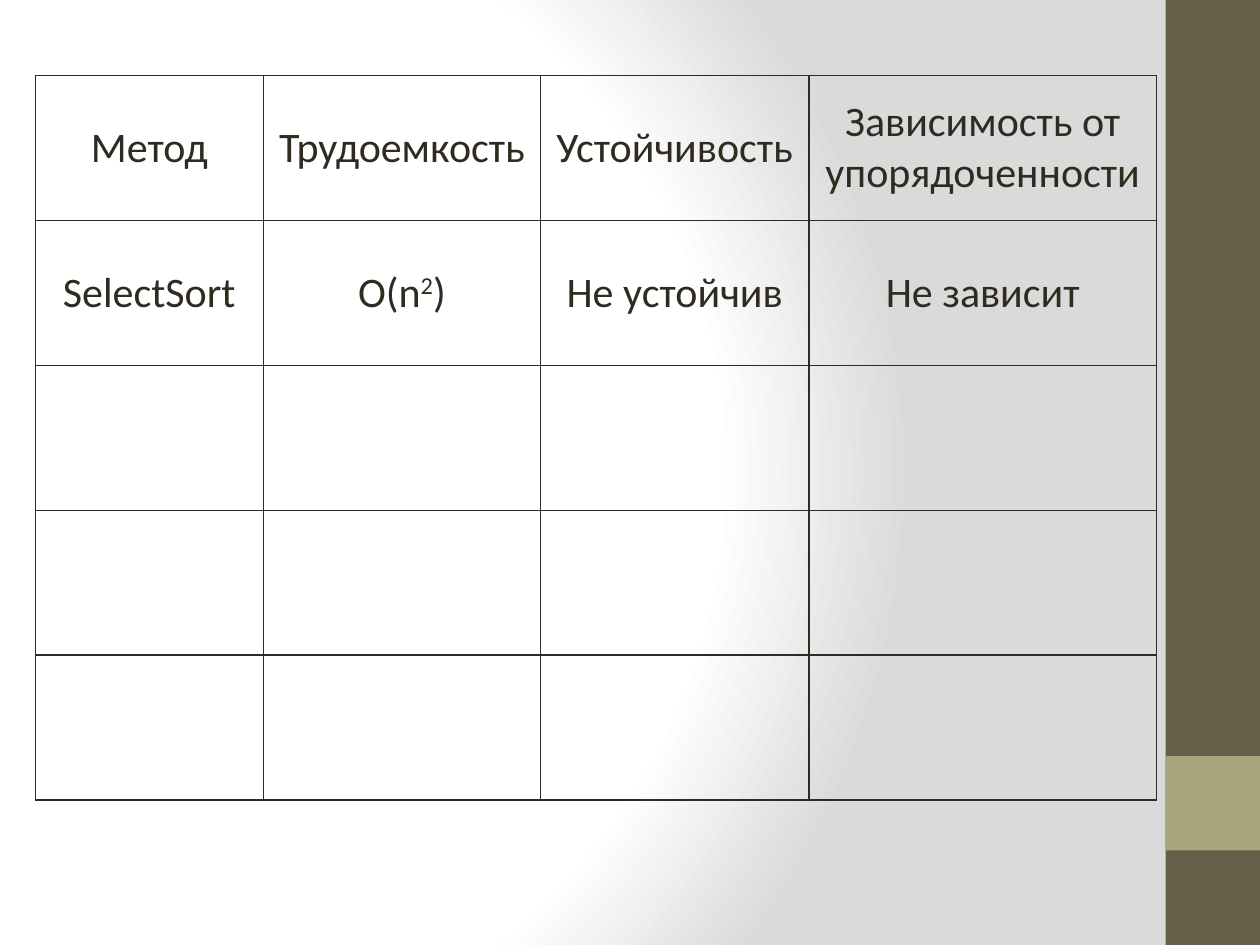
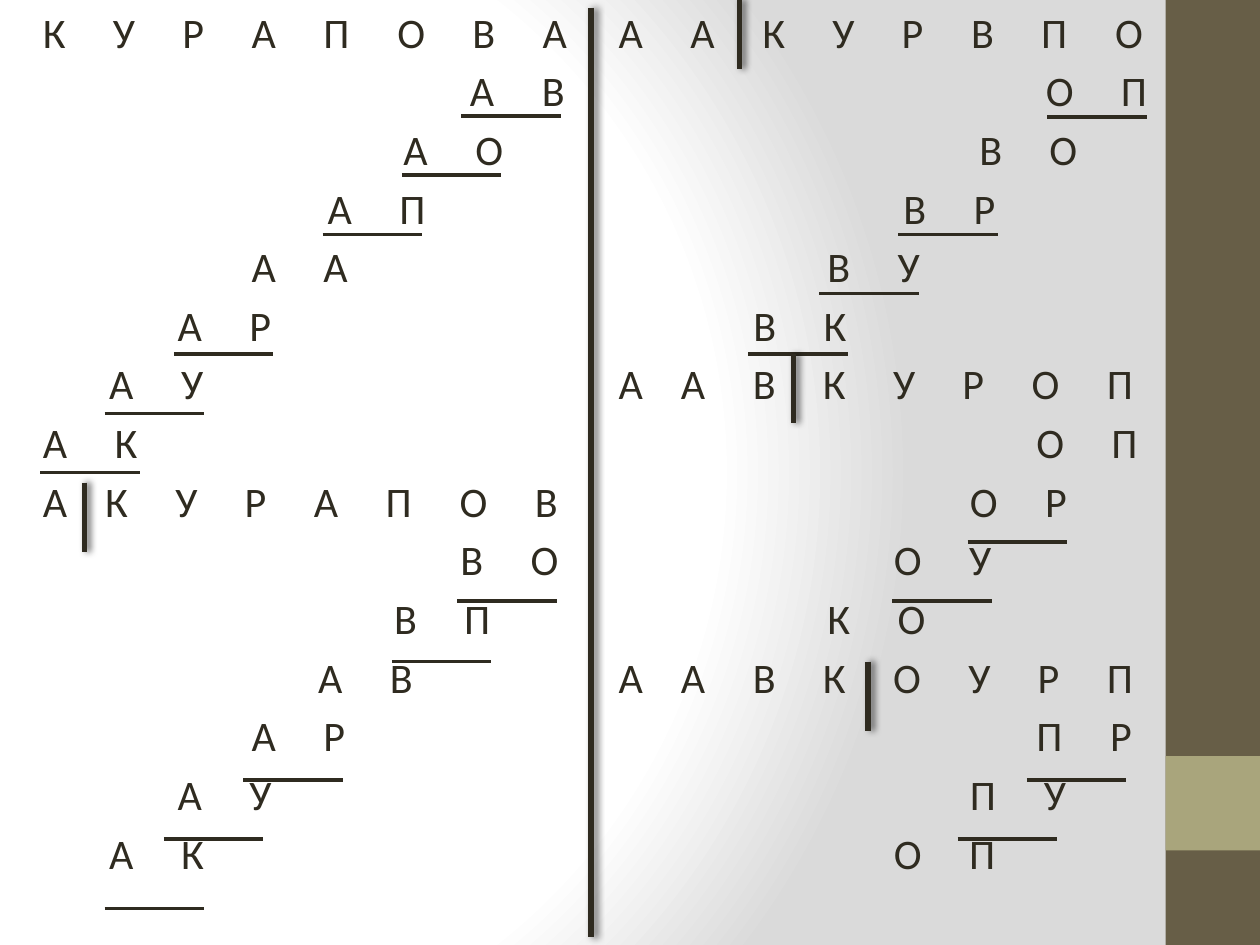
from lxml import etree
from pptx import Presentation
from pptx.dml.color import RGBColor
from pptx.enum.shapes import MSO_CONNECTOR as CONNECTOR, MSO_SHAPE as SHAPE
from pptx.enum.text import MSO_ANCHOR as ANCHOR, PP_ALIGN as ALIGN
from pptx.oxml import parse_xml
from pptx.oxml.ns import nsdecls, qn
from pptx.util import Inches, Pt

# ---- Shared look ----
INK = RGBColor(0x2F, 0x2B, 0x20)
BAND = RGBColor(0x67, 0x5E, 0x47)
BAND_MARK = RGBColor(0xA9, 0xA5, 0x7C)
FONT, SIZE = "Calibri", 24
WIDTH, HEIGHT = 10, 7.5
BAND_W = 0.75

# ---- Slide 1: sorting methods (^ marks off a superscript) ----
METHODS = [
    ("Метод", "Трудоемкость", "Устойчивость", "Зависимость от упорядоченности"),
    ("SelectSort", "O(n^2^)", "Не устойчив", "Не зависит"),
]
METHOD_COLS = (1.81, 2.2, 2.13, 2.76)
METHOD_ROWS, METHOD_ROW_H = 5, 1.15

# ---- Slide 2: exchange steps ----
# Each step: indent in spaces, letters, start of its underline (x, y) or None.
# "+" after a letter makes the gap behind it one space narrower.
LEFT_STEPS = [
    (0, "КУРАПОВА", None),
    (45, "АВ", (3.66, 0.92)),
    (38, "АО", (3.19, 1.39)),
    (30, "АП", (2.56, 1.86)),
    (22, "АА", None),
    (14.2, "АР", (1.38, 2.81)),
    (7, "АУ", (0.83, 3.28)),
    (0, "АК", (0.32, 3.75)),
    (0, "А+КУРАПОВ", None),
    (44, "ВО", (3.63, 4.77)),
    (37, "ВП", (3.11, 5.25)),
    (29, "АВ", None),
    (22, "АР", (1.93, 6.19)),
    (14.2, "АУ", (1.3, 6.66)),
    (7, "АК", (0.83, 7.21)),
]
RIGHT_STEPS = [
    (0, "ААКУРВПО", None),
    (45, "ОП", (8.31, 0.93)),
    (38, "ВО", None),
    (30, "ВР", (7.13, 1.86)),
    (22, "ВУ", (6.5, 2.33)),
    (14.2, "ВК", (5.94, 2.81)),
    (0, "А+АВКУРОП", None),
    (44, "ОП", None),
    (37, "ОР", (7.68, 4.3)),
    (29, "ОУ", (7.08, 4.77)),
    (22, "КО", None),
    (0, "А+АВКОУРП", None),
    (44, "ПР", (8.15, 6.19)),
    (37, "ПУ", (7.6, 6.66)),
    (29, "ОП", None),
]
COLUMN_W = 4.57
STEP_COLUMNS = [(0.12, LEFT_STEPS), (0.12 + COLUMN_W, RIGHT_STEPS)]
STEP_SPACING = 4.7
SORTED_BARS = [(0.67, 3.83), (5.87, 0), (6.3, 2.81), (6.89, 5.25)]
BAR_H, UNDERLINE_W = 0.55, 0.79

# Letter advances as shares of the text size
EM = SIZE / 72
SPACE = 0.226 * EM
GAP = 5
ADVANCE = {"А": 0.58, "В": 0.54, "К": 0.54, "О": 0.66, "П": 0.63, "Р": 0.52, "У": 0.52}


def write(paragraph, text, size=SIZE, color=INK, align=ALIGN.LEFT, before=0):
    paragraph.alignment = align
    paragraph.space_before = Pt(before)
    for i, part in enumerate(text.split("^")):
        run = paragraph.add_run()
        run.text = part
        run.font.name, run.font.size = FONT, Pt(size)
        run.font.color.rgb = color
        if i % 2:
            run.font._element.set("baseline", "30000")


def set_background(master):
    c_sld = master.element.cSld
    for old in c_sld.findall(qn("p:bg")):
        c_sld.remove(old)
    stops = "".join(f'<a:gs pos="{pos}000"><a:srgbClr val="{color}"/></a:gs>'
                    for pos, color in ((0, "FFFFFF"), (75, "FFFFFF"), (100, "DADADA")))
    c_sld.insert(0, parse_xml(
        f'<p:bg {nsdecls("p", "a")}><p:bgPr><a:gradFill rotWithShape="1">'
        f'<a:gsLst>{stops}</a:gsLst><a:path path="circle">'
        '<a:fillToRect l="20000" t="50000" r="100000" b="50000"/></a:path>'
        '</a:gradFill><a:effectLst/></p:bgPr></p:bg>'))


def new_slide(prs):
    slide = prs.slides.add_slide(prs.slide_layouts[6])
    for top, height, color in ((0, HEIGHT, BAND), (0.8 * HEIGHT, BAND_W, BAND_MARK)):
        band = slide.shapes.add_shape(SHAPE.RECTANGLE, Inches(WIDTH - BAND_W),
                                      Inches(top), Inches(BAND_W), Inches(height))
        band.shadow.inherit = False
        band.fill.solid()
        band.fill.fore_color.rgb = color
        band.line.fill.background()
    return slide


def draw_line(slide, x, y, dx=0, dy=0, width=2, shadow=False):
    line = slide.shapes.add_connector(CONNECTOR.STRAIGHT, Inches(x), Inches(y),
                                      Inches(x + dx), Inches(y + dy))
    line.line.color.rgb = INK
    line.line.width = Pt(width)
    effects = etree.SubElement(line._element.spPr, qn("a:effectLst"))
    if shadow:
        effects.append(parse_xml(
            f'<a:outerShdw {nsdecls("a")} blurRad="{Pt(4)}" dist="{Pt(2)}" dir="0">'
            '<a:srgbClr val="000000"><a:alpha val="60000"/></a:srgbClr></a:outerShdw>'))


def border_cell(cell):
    props = cell._tc.get_or_add_tcPr()
    for i, side in enumerate(("lnL", "lnR", "lnT", "lnB")):
        props.insert(i, parse_xml(
            f'<a:{side} {nsdecls("a")} w="{Pt(1)}"><a:solidFill>'
            f'<a:srgbClr val="{INK}"/></a:solidFill></a:{side}>'))


def add_methods(slide):
    table = slide.shapes.add_table(
        METHOD_ROWS, len(METHOD_COLS), Inches(0.28), Inches(0.6),
        Inches(sum(METHOD_COLS)), Inches(METHOD_ROWS * METHOD_ROW_H)).table
    table.first_row = table.horz_banding = False
    for column, width in zip(table.columns, METHOD_COLS):
        column.width = Inches(width)
    for row in table.rows:
        row.height = Inches(METHOD_ROW_H)
    for cell in table.iter_cells():
        cell.fill.background()
        cell.vertical_anchor = ANCHOR.MIDDLE
        border_cell(cell)
    for r, texts in enumerate(METHODS):
        for c, text in enumerate(texts):
            write(table.cell(r, c).text_frame.paragraphs[0], text, align=ALIGN.CENTER)


def letter_stops(indent, letters):
    """Return the left edge of each letter, in inches from the text edge."""
    stops, x = [], indent * SPACE
    for letter in letters:
        if letter == "+":
            x -= SPACE
        else:
            stops.append(x)
            x += ADVANCE[letter] * EM + GAP * SPACE
    return stops


def add_steps(slide, left, steps):
    frame = slide.shapes.add_textbox(Inches(left), 0, Inches(COLUMN_W),
                                     Inches(HEIGHT)).text_frame
    frame.word_wrap = True
    frame.margin_left, frame.margin_right = Inches(0.22), 0
    frame.margin_top = Inches(0.05)
    for i, (indent, letters, underline) in enumerate(steps):
        step = frame.add_paragraph() if i else frame.paragraphs[0]
        tabs = etree.SubElement(step._p.get_or_add_pPr(), qn("a:tabLst"))
        for stop in letter_stops(indent, letters):
            if stop:
                etree.SubElement(tabs, qn("a:tab"), pos=str(Inches(stop)), algn="l")
        text = "\t".join(letters.replace("+", ""))
        write(step, "\t" + text if indent else text, before=STEP_SPACING if i else 0)
        if underline:
            draw_line(slide, *underline, dx=UNDERLINE_W)


def main():
    prs = Presentation()
    prs.slide_width, prs.slide_height = Inches(WIDTH), Inches(HEIGHT)
    set_background(prs.slide_master)

    add_methods(new_slide(prs))

    exchange = new_slide(prs)
    for left, steps in STEP_COLUMNS:
        add_steps(exchange, left, steps)
    # Divider between the columns, then the edges of the sorted part
    draw_line(exchange, 0.12 + COLUMN_W, 0.06, dy=HEIGHT - 0.12, width=3, shadow=True)
    for x, y in SORTED_BARS:
        draw_line(exchange, x, y, dy=BAR_H, width=3, shadow=True)

    prs.save("out.pptx")


if __name__ == "__main__":
    main()
